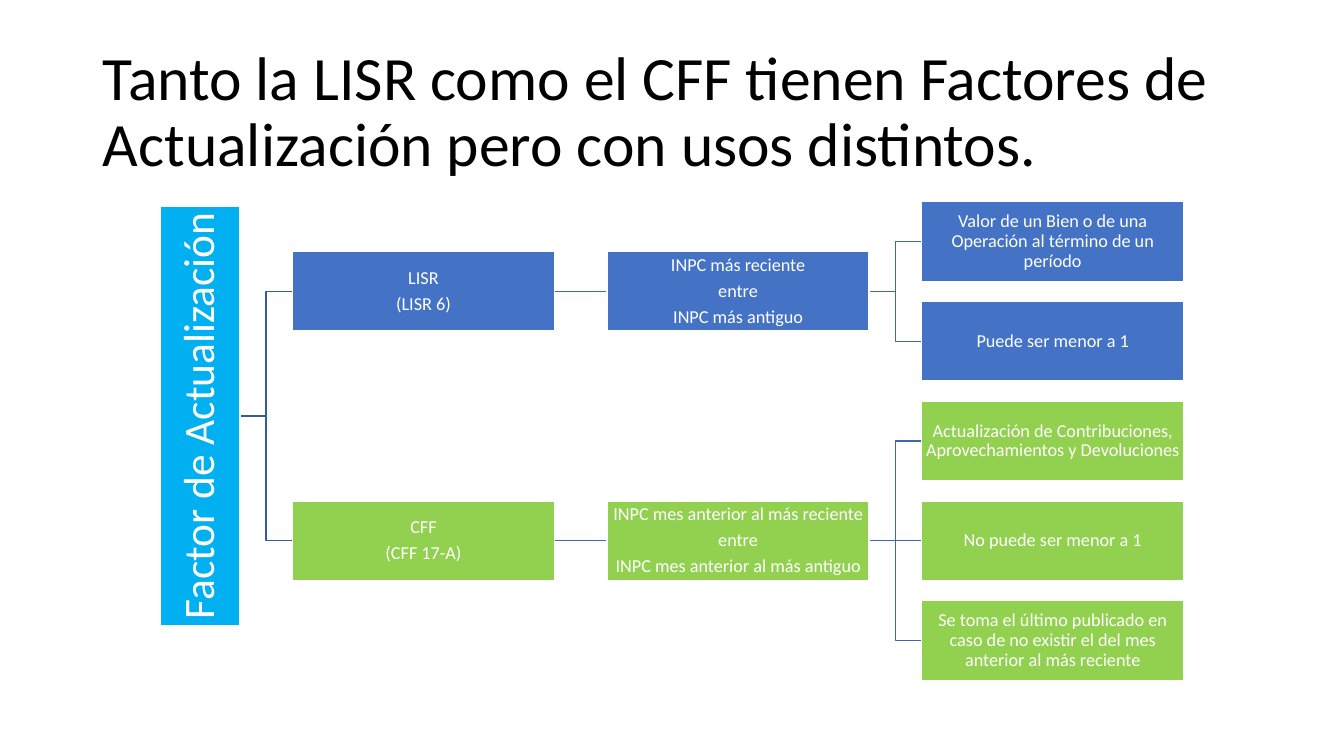
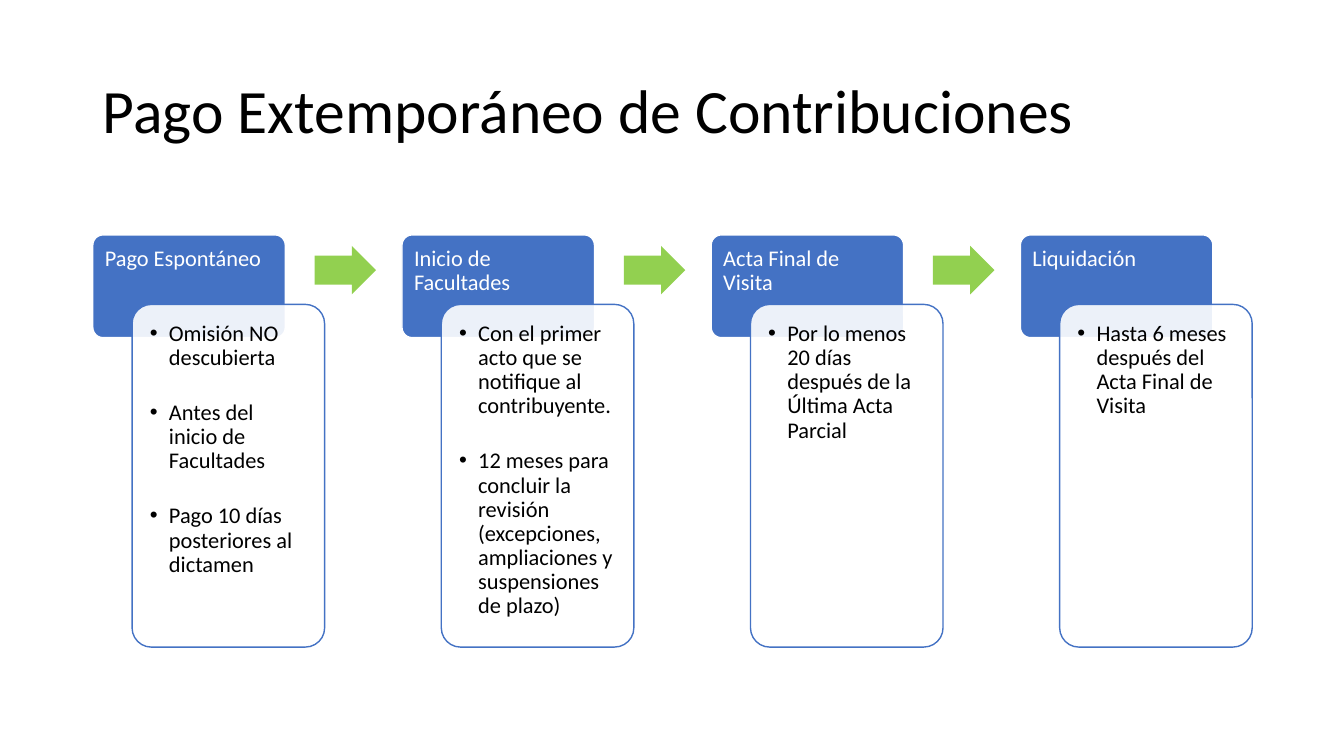
from lxml import etree
from pptx import Presentation
from pptx.dml.color import RGBColor
from pptx.enum.shapes import MSO_CONNECTOR, MSO_SHAPE
from pptx.enum.text import MSO_ANCHOR, MSO_AUTO_SIZE, PP_ALIGN
from pptx.oxml.ns import qn
from pptx.util import Inches, Pt

RECTANGLE = MSO_SHAPE.RECTANGLE
ROUNDED = MSO_SHAPE.ROUNDED_RECTANGLE
ARROW = MSO_SHAPE.RIGHT_ARROW
STRAIGHT, ELBOW = MSO_CONNECTOR.STRAIGHT, MSO_CONNECTOR.ELBOW
LEFT, CENTER = PP_ALIGN.LEFT, PP_ALIGN.CENTER
TOP, MIDDLE = MSO_ANCHOR.TOP, MSO_ANCHOR.MIDDLE
LEFT_SIDE, RIGHT_SIDE = 1, 3

BLACK = RGBColor(0x00, 0x00, 0x00)
WHITE = RGBColor(0xFF, 0xFF, 0xFF)
BLUE = RGBColor(0x44, 0x72, 0xC4)
SKY = RGBColor(0x00, 0xB0, 0xF0)
GREEN = RGBColor(0x92, 0xD0, 0x50)
ROOT_LINK = RGBColor(0x36, 0x5B, 0x9D)
BRANCH_LINK = RGBColor(0x3E, 0x67, 0xB2)
FONT = "Calibri"
MARGIN, CONTENT_WIDTH = 0.92, 11.5


def add_block(page, kind, left, top, width, height, fill, line=None):
    block = page.shapes.add_shape(
        kind, Inches(left), Inches(top), Inches(width), Inches(height))
    block.shadow.inherit = False
    block.fill.solid()
    block.fill.fore_color.rgb = fill
    if line is None:
        block.line.fill.background()
    else:
        block.line.color.rgb = line
        block.line.width = Pt(1)
    return block


def write(box, lines, size, color, align=LEFT, anchor=MIDDLE, inset=0.1,
          before=0, after=0, bullet=False):
    frame = box.text_frame
    frame.word_wrap = True
    frame.auto_size = MSO_AUTO_SIZE.NONE
    frame.vertical_anchor = anchor
    frame.margin_left = frame.margin_right = Inches(inset)
    frame.margin_top = frame.margin_bottom = Inches(min(inset, 0.12) if inset != 0.1 else 0.05)
    for index, line in enumerate(lines):
        para = frame.paragraphs[0] if index == 0 else frame.add_paragraph()
        if bullet:
            props = para._p.get_or_add_pPr()
            props.set("marL", str(Inches(0.19)))
            props.set("indent", str(-Inches(0.19)))
            etree.SubElement(props, qn("a:buFont")).set("typeface", "Arial")
            etree.SubElement(props, qn("a:buChar")).set("char", "•")
        para.alignment = align
        para.line_spacing = 0.9
        para.space_before = Pt(before if index else 0)
        para.space_after = Pt(after)
        span = para.add_run()
        span.text = line
        span.font.name = FONT
        span.font.size = Pt(size)
        span.font.color.rgb = color


deck = Presentation()
deck.slide_width, deck.slide_height = Inches(13.33), Inches(7.5)

pages = []
for heading in ("Tanto la LISR como el CFF tienen Factores de Actualización "
                "pero con usos distintos.",
                "Pago Extemporáneo de Contribuciones"):
    page = deck.slides.add_slide(deck.slide_layouts[5])
    title = page.shapes.title
    title.left, title.top = Inches(MARGIN), Inches(0.4)
    title.width, title.height = Inches(CONTENT_WIDTH), Inches(1.45)
    write(title, [heading], 44, BLACK)
    pages.append(page)
tree_page, stages_page = pages

GRID_LEFT, GRID_TOP = 2.9, 2
COLUMN, ROW = 3.12, 0.99
BOX_WIDTH, BOX_HEIGHT = 2.6, 0.79
ROOT_HEIGHT = 4.17
ROOT_ROW = 1.75

NODES = [
    ("lisr", "root", 0, 0.5, BLUE, ["LISR", "(LISR 6)"]),
    ("lisr factor", "lisr", 1, 0.5, BLUE,
     ["INPC más reciente", "entre", "INPC más antiguo"]),
    ("value", "lisr factor", 2, 0, BLUE,
     ["Valor de un Bien o de una Operación al término de un período"]),
    ("below one", "lisr factor", 2, 1, BLUE, ["Puede ser menor a 1"]),
    ("cff", "root", 0, 3, GREEN, ["CFF", "(CFF 17-A)"]),
    ("cff factor", "cff", 1, 3, GREEN,
     ["INPC mes anterior al más reciente", "entre",
      "INPC mes anterior al más antiguo"]),
    ("update", "cff factor", 2, 2, GREEN,
     ["Actualización de Contribuciones, Aprovechamientos y Devoluciones"]),
    ("not below one", "cff factor", 2, 3, GREEN, ["No puede ser menor a 1"]),
    ("last published", "cff factor", 2, 4, GREEN,
     ["Se toma el último publicado en caso de no existir el del mes "
      "anterior al más reciente"]),
]

root_middle = GRID_TOP + ROOT_ROW * ROW + BOX_HEIGHT / 2
root = add_block(tree_page, RECTANGLE, GRID_LEFT - COLUMN + BOX_WIDTH - BOX_HEIGHT,
                 root_middle - ROOT_HEIGHT / 2, BOX_HEIGHT, ROOT_HEIGHT, SKY, WHITE)
write(root, ["Factor de Actualización"], 31, WHITE, CENTER, inset=0.02, after=11)
root.text_frame._txBody.bodyPr.set("vert", "vert270")

boxes, rows = {"root": root}, {"root": ROOT_ROW}
for name, parent, column, row, color, lines in NODES:
    box = add_block(tree_page, RECTANGLE, GRID_LEFT + column * COLUMN,
                    GRID_TOP + row * ROW, BOX_WIDTH, BOX_HEIGHT, color, WHITE)
    write(box, lines, 13, WHITE, CENTER, inset=0.01, after=4.5)
    boxes[name], rows[name] = box, row
    source = boxes[parent]
    link = tree_page.shapes.add_connector(
        STRAIGHT if row == rows[parent] else ELBOW,
        source.left + source.width, source.top + source.height // 2,
        box.left, box.top + box.height // 2)
    link.begin_connect(source, RIGHT_SIDE)
    link.end_connect(box, LEFT_SIDE)
    link.line.color.rgb = ROOT_LINK if parent == "root" else BRANCH_LINK
    link.line.width = Pt(1)
    etree.SubElement(link.element.spPr, qn("a:effectLst"))
    root.element.addprevious(link.element)

STAGES = [
    ("Pago Espontáneo",
     ["Omisión NO descubierta", "Antes del inicio de Facultades",
      "Pago 10 días posteriores al dictamen"]),
    ("Inicio de Facultades",
     ["Con el primer acto que se notifique al contribuyente.",
      "12 meses para concluir la revisión (excepciones, ampliaciones "
      "y suspensiones de plazo)"]),
    ("Acta Final de Visita",
     ["Por lo menos 20 días después de la Última Acta Parcial"]),
    ("Liquidación", ["Hasta 6 meses después del Acta Final de Visita"]),
]
STAGE_TOP, STAGE_WIDTH = 2.33, 1.91
CARD_SHIFT, CARD_DROP = 0.39, 0.69
STAGE_STEP = (CONTENT_WIDTH - STAGE_WIDTH - CARD_SHIFT) / (len(STAGES) - 1)

for index, (name, points) in enumerate(STAGES):
    left = MARGIN + index * STAGE_STEP
    header = add_block(stages_page, ROUNDED, left, STAGE_TOP,
                       STAGE_WIDTH, 1.02, BLUE, WHITE)
    header.adjustments[0] = 0.1
    write(header, [name], 16, WHITE, anchor=TOP, inset=0.09, after=5.5)

    card = add_block(stages_page, ROUNDED, left + CARD_SHIFT, STAGE_TOP + CARD_DROP,
                     STAGE_WIDTH, 3.4, WHITE, BLUE)
    card.adjustments[0] = 0.1
    tint = card.element.spPr.find(qn("a:solidFill"))[0]
    etree.SubElement(tint, qn("a:alpha")).set("val", "90000")
    write(card, points, 16, BLACK, anchor=TOP, inset=0.12, before=22, bullet=True)

    if index < len(STAGES) - 1:
        arrow = add_block(stages_page, ARROW, left + 2.2, STAGE_TOP + 0.11,
                          0.61, 0.48, GREEN)
        arrow.adjustments[0] = 0.6
        arrow.adjustments[1] = 0.5

deck.save("out.pptx")
